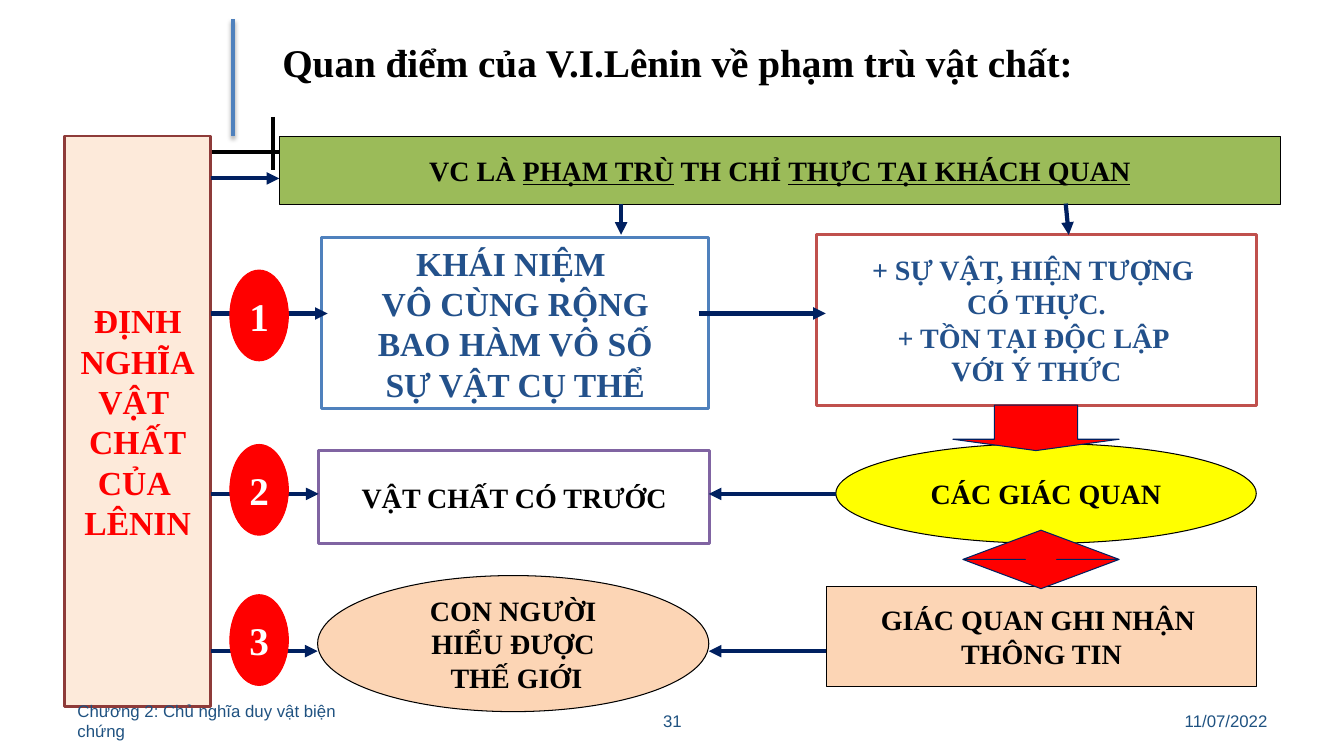
from lxml.etree import SubElement
from pptx import Presentation
from pptx.dml.color import RGBColor
from pptx.enum.shapes import MSO_CONNECTOR, MSO_SHAPE
from pptx.enum.text import MSO_ANCHOR, PP_ALIGN
from pptx.oxml.ns import qn
from pptx.util import Emu, Pt

# Content: places are px (left, top, width, height); _marks_ underline
RECT, OVAL = MSO_SHAPE.RECTANGLE, MSO_SHAPE.OVAL
TITLE = "Quan điểm của V.I.Lênin về phạm trù vật chất:"
BOXES = [
    (RECT, (64, 135, 145, 566), "cream", "brown", 2, "side",
     ["ĐỊNH", "NGHĨA", "VẬT ", "CHẤT", "CỦA ", "LÊNIN"]),
    (RECT, (277, 135, 993, 68), "green", "black", 0.75, "body",
     ["VC LÀ _PHẠM TRÙ_ TH CHỈ _THỰC TẠI KHÁCH QUAN_"]),
    (RECT, (319, 236, 384, 169), "white", "blue", 2, "idea",
     ["KHÁI NIỆM ", "VÔ CÙNG RỘNG", "BAO HÀM VÔ SỐ", "SỰ VẬT CỤ THỂ"]),
    (RECT, (810, 233, 436, 169), "white", "rust", 2, "fact",
     ["+ SỰ VẬT, HIỆN TƯỢNG ", "CÓ THỰC.", "+ TỒN TẠI ĐỘC LẬP ", "VỚI Ý THỨC"]),
    (OVAL, (829, 440, 417, 99), "yellow", "black", 0.75, "body",
     ["CÁC GIÁC QUAN"]),
    (RECT, (316, 447, 388, 92), "white", "purple", 2, "body",
     ["VẬT CHẤT CÓ TRƯỚC"]),
    (RECT, (820, 582, 426, 99), "peach", "black", 0.75, "body",
     ["GIÁC QUAN GHI NHẬN ", "THÔNG TIN"]),
    (OVAL, (315, 571, 388, 135), "peach", "black", 0.75, "body",
     ["CON NGƯỜI", "HIỂU ĐƯỢC", " THẾ GIỚI"]),
]
RULES = [(156, 151, 1271, 151), (271, 116, 271, 169)]
ACCENT = (231, 19, 231, 135)
ARROWS = [
    (616, 202, 616, 233), (1057, 202, 1060, 233), (209, 177, 277, 177),
    (693, 311, 819, 311), (209, 311, 325, 311), (829, 490, 703, 490),
    (819, 646, 703, 646), (209, 490, 316, 490), (209, 646, 315, 646),
]
BLOCKS = [
    (MSO_SHAPE.DOWN_ARROW, (945, 402, 165, 45), (0.5, 0.25)),
    (MSO_SHAPE.UP_DOWN_ARROW, (955, 526, 155, 58), (0.5, 0.2)),
]
STEPS = [268, 441, 590]
FOOTS = [
    ((956, 695, 311, 40), "11/07/2022", PP_ALIGN.RIGHT),
    ((67, 695, 311, 40), "Chương 2: Chủ nghĩa duy vật biện chứng", PP_ALIGN.LEFT),
    ((456, 695, 422, 40), "31", PP_ALIGN.CENTER),
]

# Theme
SERIF = {"name": "Times New Roman", "bold": True}
THEME = {
    "color": {
        "cream": "FDEADA", "brown": "8E3B39", "green": "9BBB59", "black": "000000",
        "white": "FFFFFF", "blue": "4F81BD", "rust": "C0504D", "yellow": "FFFF00",
        "purple": "8064A2", "peach": "FCD5B5", "red": "FF0000", "navy": "002060",
        "ink": "23518B", "foot": "1F5281",
    },
    "text": {
        "title": ({**SERIF, "size": Pt(28)}, "black"),
        "side": ({**SERIF, "size": Pt(24)}, "red"),
        "idea": ({**SERIF, "size": Pt(24)}, "ink"),
        "fact": ({**SERIF, "size": Pt(20)}, "ink"),
        "body": ({**SERIF, "size": Pt(20)}, "black"),
        "step": ({**SERIF, "size": Pt(28)}, "white"),
        "foot": ({"name": "Arial", "size": Pt(12), "bold": False}, "foot"),
    },
}
PX = 9144  # 100 px to the inch


def scale(place):
    return [Emu(n * PX) for n in place]


def color(name):
    return RGBColor.from_string(THEME["color"][name])


def write(shape, lines, style, align=PP_ALIGN.CENTER, wrap=False):
    frame = shape.text_frame
    frame.word_wrap = wrap
    frame.vertical_anchor = MSO_ANCHOR.MIDDLE
    form, ink = THEME["text"][style]
    for i, line in enumerate(lines):
        para = frame.add_paragraph() if i else frame.paragraphs[0]
        para.alignment = align
        for j, part in enumerate(line.split("_")):
            if not part:
                continue
            run = para.add_run()
            run.text = part
            for key, value in form.items():
                setattr(run.font, key, value)
            run.font.color.rgb = color(ink)
            if j % 2:
                run.font.underline = True


def draw(kind, place, fill, edge, width):
    shape = slide.shapes.add_shape(kind, *scale(place))
    shape.shadow.inherit = False
    shape.fill.solid()
    shape.fill.fore_color.rgb = color(fill)
    shape.line.color.rgb = color(edge)
    shape.line.width = Pt(width)
    return shape


def link(ends, edge, head=False):
    line = slide.shapes.add_connector(MSO_CONNECTOR.STRAIGHT, *scale(ends))
    line.line.color.rgb = color(edge)
    line.line.width = Pt(3)
    if head:
        SubElement(line.line._get_or_add_ln(), qn("a:tailEnd"), type="triangle")
    return SubElement(line._element.spPr, qn("a:effectLst"))


# Slide and title
deck = Presentation()
deck.slide_width, deck.slide_height = scale((1333, 750))
slide = deck.slides.add_slide(deck.slide_layouts[5])
title = slide.shapes.title
title.left, title.top, title.width, title.height = scale((270, 33, 898, 57))
write(title, [TITLE], "title", PP_ALIGN.JUSTIFY, True)

# Rules and the shaded accent line
for ends in RULES:
    link(ends, "black")
glow = SubElement(link(ACCENT, "blue"), qn("a:outerShdw"), blurRad=str(Pt(3.1)),
                  dist=str(Pt(1.8)), dir="5400000", rotWithShape="0")
tint = SubElement(glow, qn("a:srgbClr"), val=THEME["color"]["black"])
SubElement(tint, qn("a:alpha"), val="35000")

# Boxes, arrows and numbers
for kind, place, fill, edge, width, style, lines in BOXES:
    write(draw(kind, place, fill, edge, width), lines, style)
for ends in ARROWS:
    link(ends, "navy", True)
for kind, place, bends in BLOCKS:
    block = draw(kind, place, "red", "navy", 0.75)
    for i, bend in enumerate(bends):
        block.adjustments[i] = bend
for i, top in enumerate(STEPS, 1):
    write(draw(OVAL, (228, top, 58, 90), "red", "red", 0.75), [str(i)], "step")

# Footer
for place, text, align in FOOTS:
    write(slide.shapes.add_textbox(*scale(place)), [text], "foot", align, True)

deck.save("out.pptx")
